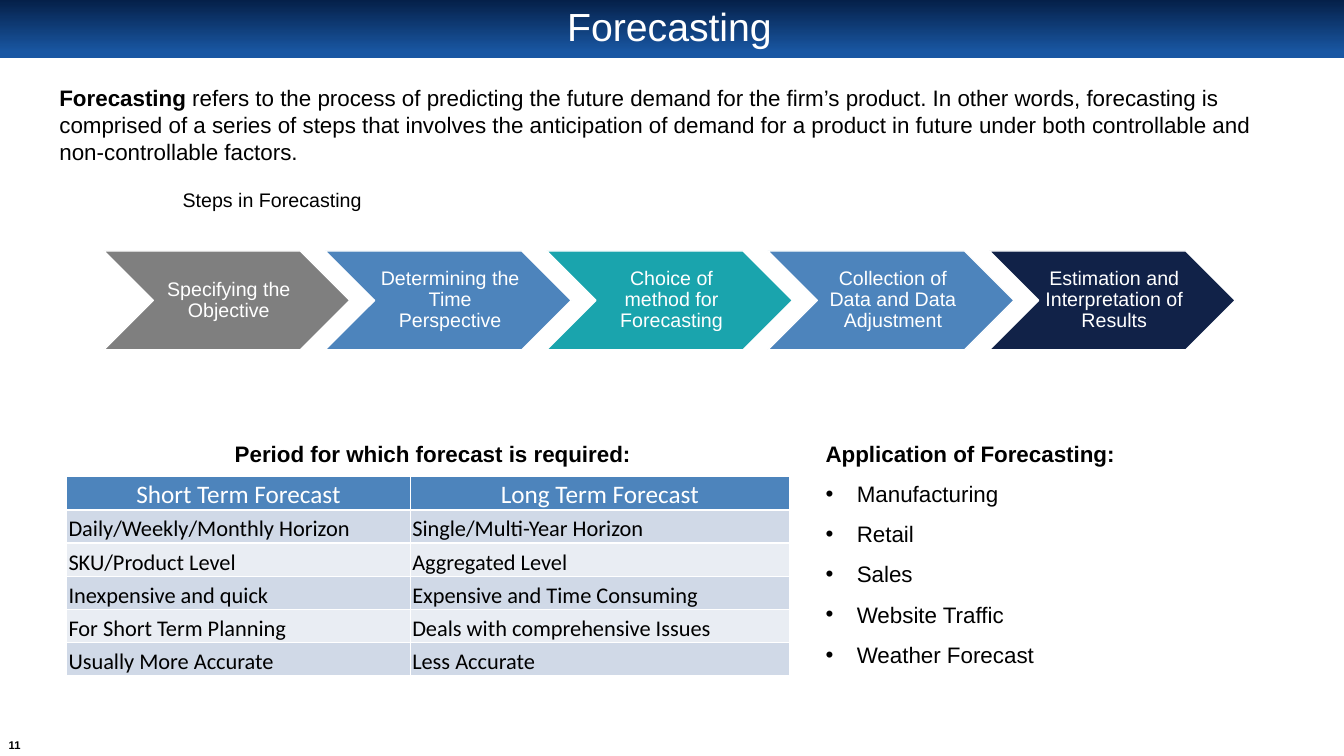
"""Build the Forecasting slide with its steps, comparison table and uses."""
from lxml.etree import SubElement as Sub
from pptx import Presentation
from pptx.dml.color import RGBColor as RGB
from pptx.enum.shapes import MSO_SHAPE as Kind
from pptx.enum.text import MSO_ANCHOR as Anchor, PP_ALIGN as Align
from pptx.oxml.ns import qn
from pptx.util import Inches, Pt

WHITE, BLACK = RGB(255, 255, 255), RGB(0, 0, 0)
NIGHT, ROYAL = RGB(0x05, 0x20, 0x49), RGB(0x19, 0x57, 0xA3)
GREY, BLUE = RGB(0x7F, 0x7F, 0x7F), RGB(0x4D, 0x84, 0xBC)
TEAL, NAVY = RGB(0x1A, 0xA4, 0xAD), RGB(0x11, 0x22, 0x48)
DARK, PALE = RGB(0xD0, 0xD9, 0xE7), RGB(0xE9, 0xED, 0xF3)

TITLE = "Forecasting"
INTRO = [
    ("Forecasting", True),
    (" refers to the process of predicting the future demand for the firm’s "
     "product. In other words, forecasting is comprised of a series of steps "
     "that involves the anticipation of demand for a product in future under "
     "both controllable and non-controllable factors.", False),
]
CAPTION = "Steps in Forecasting"
STEPS = [
    ("Specifying the Objective", GREY),
    ("Determining the Time Perspective", BLUE),
    ("Choice of method for Forecasting", TEAL),
    ("Collection of Data and Data Adjustment", BLUE),
    ("Estimation and Interpretation of Results", NAVY),
]
PERIOD = "Period for which forecast is required:"
TERMS = [
    ("Short Term Forecast", "Long Term Forecast"),
    ("Daily/Weekly/Monthly Horizon", "Single/Multi-Year Horizon"),
    ("SKU/Product Level", "Aggregated Level"),
    ("Inexpensive and quick", "Expensive and Time Consuming"),
    ("For Short Term Planning", "Deals with comprehensive Issues"),
    ("Usually More Accurate", "Less Accurate"),
]
USES = "Application of Forecasting:"
FIELDS = ["Manufacturing", "Retail", "Sales", "Website Traffic",
          "Weather Forecast"]
PAGE = "11"

WIDE, HIGH = Inches(13.33), Inches(7.5)
SPOTS = {
    "band": (0, 0, 100, 7.73),
    "page": (0.15, 97.33, 1.88, 2.53),
    "title": (4.95, 0.8, 89.72, 6),
    "intro": (3.68, 10.53, 92.27, 12.13),
    "caption": (11.78, 23.47, 16.95, 6),
    "period": (16.73, 55.73, 35.86, 6),
    "table": (4.95, 63.07, 53.79, 26.27),
    "uses": (60.69, 55.73, 32.86, 33.6),
}
STEP = (7.73, 33.2, 18.3, 13.07)
PITCH = 16.47
SPLIT = (25.58, 28.21)
MIDDLE = {"vertical_anchor": Anchor.MIDDLE}
SNUG = {"margin_left": Inches(0.06), "margin_top": Inches(0.02),
        "margin_right": Inches(0.02), "margin_bottom": Inches(0.02)}
TIGHT = dict.fromkeys(SNUG, 0)
CELL = {"margin_left": Inches(0.02), "margin_top": Inches(0.02),
        "margin_right": Inches(0.02), "margin_bottom": 0,
        "vertical_anchor": Anchor.BOTTOM}
CENTRE = {"alignment": Align.CENTER}
LOOSE = {"line_spacing": 1.5}
CLOSE = {**CENTRE, "line_spacing": 0.9}


def put(item, form):
    for key, val in form.items():
        setattr(item, key, val)


def area(left, top, wide, high):
    return [round(part * size / 100) for part, size in
            zip((left, top, wide, high), (WIDE, HIGH, WIDE, HIGH))]


def write(para, runs, size, tint=BLACK, form={}, face="Arial"):
    put(para, form)
    for text, bold in runs:
        run = para.add_run()
        run.text = text
        put(run.font, {"name": face, "size": Pt(size), "bold": bold})
        run.font.color.rgb = tint


def label(slide, name, runs, size, tint=BLACK, form={}, frame={}):
    text = slide.shapes.add_textbox(*area(*SPOTS[name])).text_frame
    put(text, {"word_wrap": True, **frame})
    write(text.paragraphs[0], runs, size, tint, form)
    return text


def bullet(para):
    props = para._p.get_or_add_pPr()
    gap = Inches(0.31)
    props.set("marL", str(gap))
    props.set("indent", str(-gap))
    Sub(props, qn("a:buFont")).set("typeface", "Arial")
    Sub(props, qn("a:buChar")).set("char", "•")


def band(slide):
    bar = slide.shapes.add_shape(Kind.RECTANGLE, *area(*SPOTS["band"]))
    bar.shadow.inherit = False
    bar.line.fill.background()
    bar.fill.gradient()
    bar.fill.gradient_angle = 270
    for stop, tint, spot in zip(bar.fill.gradient_stops, (NIGHT, ROYAL), (0, 0.9)):
        stop.color.rgb = tint
        stop.position = spot


def chain(slide):
    left, *rest = STEP
    for num, (text, tint) in enumerate(STEPS):
        step = slide.shapes.add_shape(Kind.CHEVRON, *area(left + num * PITCH, *rest))
        step.shadow.inherit = False
        step.fill.solid()
        step.fill.fore_color.rgb = tint
        step.line.color.rgb = WHITE
        step.line.width = Pt(1)
        put(step.text_frame, {"word_wrap": True, **SNUG, **MIDDLE})
        write(step.text_frame.paragraphs[0], [(text, False)], 14, WHITE, CLOSE)


def grid(slide):
    table = slide.shapes.add_table(len(TERMS), 2, *area(*SPOTS["table"])).table
    for col, share in zip(table.columns, SPLIT):
        col.width = round(WIDE * share / 100)
    for row, pair in enumerate(TERMS):
        head = row == 0
        fill = BLUE if head else (PALE, DARK)[row % 2]
        for col, text in enumerate(pair):
            cell = table.cell(row, col)
            put(cell, CELL)
            cell.fill.solid()
            cell.fill.fore_color.rgb = fill
            write(cell.text_frame.paragraphs[0], [(text, False)],
                  18 if head else 16, WHITE if head else BLACK,
                  CENTRE if head else {}, "Calibri")


def main():
    deck = Presentation()
    put(deck, {"slide_width": WIDE, "slide_height": HIGH})
    slide = deck.slides.add_slide(deck.slide_layouts[6])
    band(slide)
    label(slide, "page", [(PAGE, True)], 8, form=CENTRE,
          frame={**TIGHT, **MIDDLE, "word_wrap": False})
    label(slide, "title", [(TITLE, False)], 28, WHITE, CLOSE, MIDDLE)
    label(slide, "intro", INTRO, 16)
    label(slide, "caption", [(CAPTION, False)], 14, form=CENTRE, frame=MIDDLE)
    chain(slide)
    label(slide, "period", [(PERIOD, True)], 16, form=LOOSE)
    grid(slide)
    uses = label(slide, "uses", [(USES, True)], 16, form=LOOSE)
    for field in FIELDS:
        para = uses.add_paragraph()
        bullet(para)
        write(para, [(field, False)], 16, form=LOOSE)
    deck.save("out.pptx")


if __name__ == "__main__":
    main()
